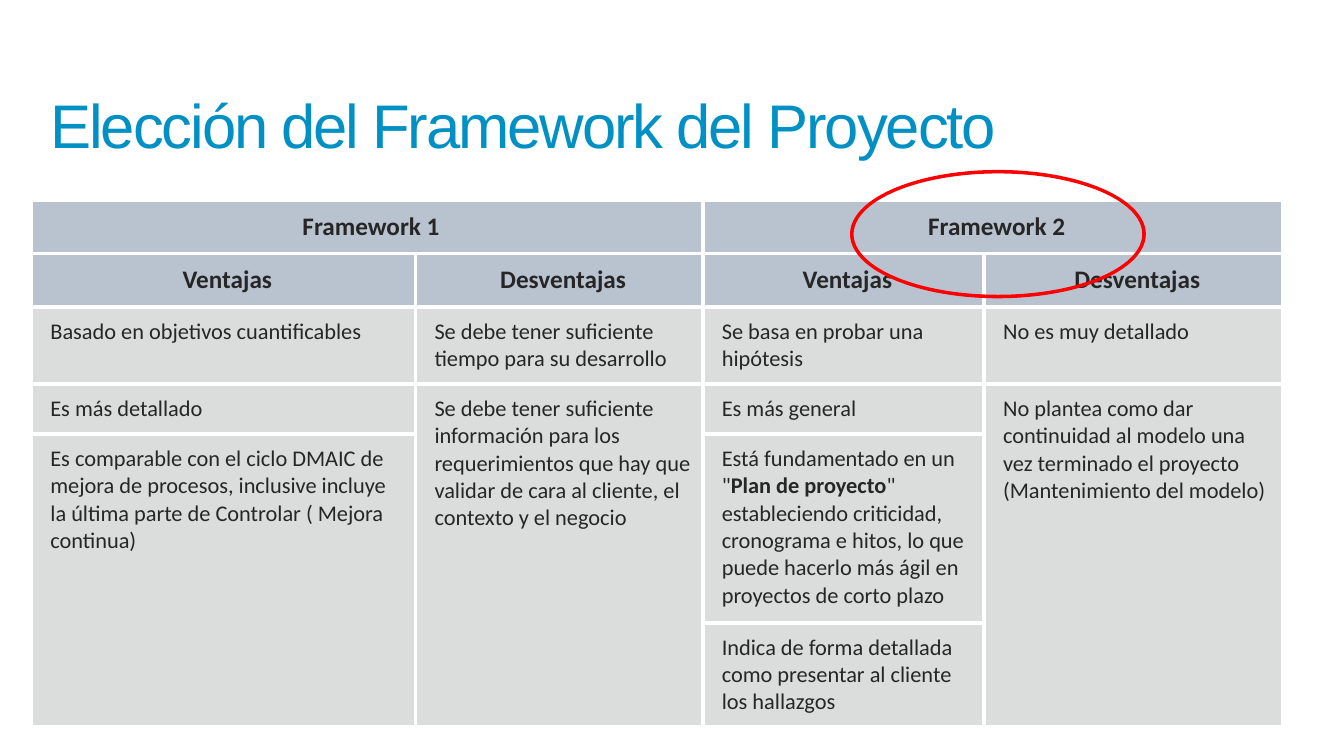
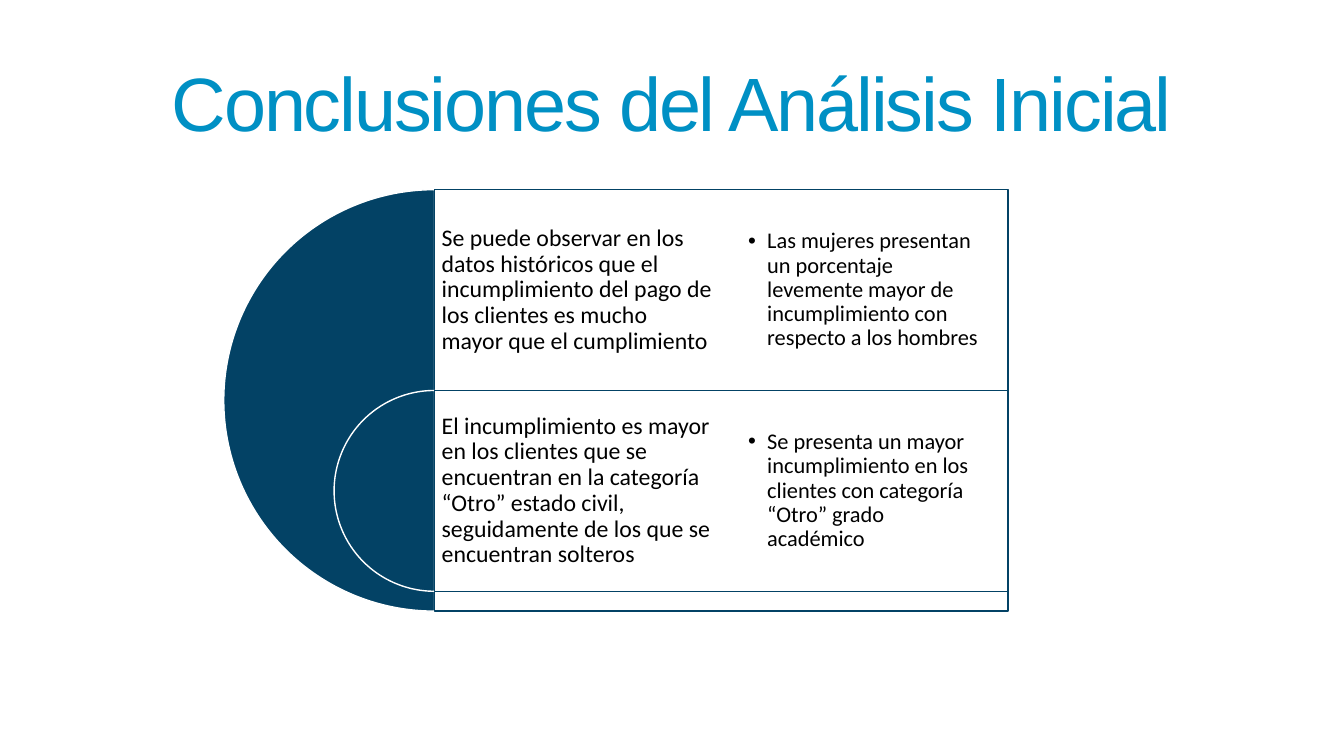
from lxml.etree import SubElement as Sub
from pptx import Presentation as Deck
from pptx.dml.color import RGBColor as Rgb
from pptx.enum.shapes import MSO_SHAPE as Kind
from pptx.enum.text import MSO_ANCHOR as Anchor, MSO_AUTO_SIZE as Auto, PP_ALIGN as Align
from pptx.oxml.ns import qn
from pptx.util import Cm, Pt

HUES = {
    "title": "0090C4",
    "head": "B9C3CF",
    "cell": "DBDDDC",
    "ink": "262626",
    "black": "000000",
    "white": "FFFFFF",
    "navy": "034265",
    "red": "FF0000",
}

COLS = (9.68, 7.24, 7.09, 7.52)
ROWS = (1.34, 1.34, 1.93, 1.26, 4.76, 2.59)
HEADS = 2
CELLS = {
    (0, 0): "Framework 1",
    (0, 2): "Framework 2",
    (1, 0): "Ventajas",
    (1, 1): "Desventajas",
    (1, 2): "Ventajas",
    (1, 3): "Desventajas",
    (2, 0): "Basado en objetivos cuantificables",
    (2, 1): "Se debe tener suficiente tiempo para su desarrollo",
    (2, 2): "Se basa en probar una hipótesis",
    (2, 3): "No es muy detallado",
    (3, 0): "Es más detallado",
    (3, 1): "Se debe tener suficiente información para los requerimientos "
            "que hay que validar de cara al cliente, el contexto y el negocio",
    (3, 2): "Es más general",
    (3, 3): "No plantea como dar continuidad al modelo una vez terminado "
            "el proyecto (Mantenimiento del modelo)",
    (4, 0): "Es comparable con el ciclo DMAIC de mejora de procesos, inclusive "
            "incluye la última parte de Controlar ( Mejora continua)",
    (4, 2): 'Está fundamentado en un "**Plan de proyecto**" estableciendo '
            "criticidad, cronograma e hitos, lo que puede hacerlo más ágil "
            "en proyectos de corto plazo",
    (5, 2): "Indica de forma detallada como presentar al cliente los hallazgos",
}
SPANS = (((0, 0), (0, 1)), ((0, 2), (0, 3)), ((3, 1), (5, 1)),
         ((3, 3), (5, 3)), ((4, 0), (5, 0)))

POINTS = (
    ("Se puede observar en los datos históricos que el incumplimiento del pago "
     "de los clientes es mucho mayor que el cumplimiento",
     "Las mujeres presentan un porcentaje levemente mayor de incumplimiento "
     "con respecto a los hombres"),
    ("El incumplimiento es mayor en los clientes que se encuentran en la "
     "categoría “Otro” estado civil, seguidamente de los que se encuentran solteros",
     "Se presenta un mayor incumplimiento en los clientes con categoría "
     "“Otro” grado académico"),
)


def hue(name):
    return Rgb.from_string(HUES[name])


def write(frame, text, size=16, font="Calibri", color="black", bold=False,
          align=Align.LEFT, lead=None, track=None, hang=None):
    para = frame.paragraphs[0]
    para.alignment = align
    para.space_before = Pt(0)
    if lead:
        para.line_spacing = lead
    if hang:
        props = para._p.get_or_add_pPr()
        props.set("marL", str(Cm(hang)))
        props.set("indent", str(-Cm(hang)))
    for num, part in enumerate(text.split("**")):
        run = para.add_run()
        run.text = part
        run.font.size = Pt(size)
        run.font.name = font
        run.font.bold = bold or num % 2 == 1
        run.font.color.rgb = hue(color)
        if track:
            run._r.get_or_add_rPr().set("spc", str(track))


def place(item, box):
    item.left, item.top, item.width, item.height = (Cm(v) for v in box)


def setup(frame, pad, anchor=Anchor.MIDDLE):
    frame.word_wrap = True
    frame.auto_size = Auto.NONE
    frame.vertical_anchor = anchor
    frame.margin_left = frame.margin_right = Cm(pad)
    frame.margin_top = frame.margin_bottom = Cm(pad)


def head(slide, text, box, **style):
    title = slide.shapes.title
    place(title, box)
    setup(title.text_frame, 0.2)
    write(title.text_frame, text, font="Arial", color="title",
          track=-150, lead=0.9, **style)


def shape(slide, kind, box, fill, line, turns=()):
    item = slide.shapes.add_shape(kind, *(Cm(v) for v in box))
    item.shadow.inherit = False
    item.fill.solid()
    item.fill.fore_color.rgb = hue(fill)
    item.line.color.rgb = hue(line)
    item.line.width = Pt(1)
    for num, turn in enumerate(turns):
        item.adjustments[num] = turn
    return item


def edge(cell):
    props = cell._tc.get_or_add_tcPr()
    for side in ("lnL", "lnR", "lnT", "lnB"):
        line = Sub(props, qn("a:" + side), w=str(Pt(3)))
        Sub(Sub(line, qn("a:solidFill")), qn("a:srgbClr"), val=HUES["white"])


def grid(slide, left, top):
    box = (left, top, sum(COLS), sum(ROWS))
    table = slide.shapes.add_table(len(ROWS), len(COLS), *(Cm(v) for v in box)).table
    for col, width in zip(table.columns, COLS):
        col.width = Cm(width)
    for row, height in zip(table.rows, ROWS):
        row.height = Cm(height)
    for start, end in SPANS:
        table.cell(*start).merge(table.cell(*end))
    for row in range(len(ROWS)):
        for col in range(len(COLS)):
            cell = table.cell(row, col)
            top_row = row < HEADS
            edge(cell)
            cell.fill.solid()
            cell.fill.fore_color.rgb = hue("head" if top_row else "cell")
            cell.margin_left = Cm(0.48)
            cell.margin_right = cell.margin_top = cell.margin_bottom = Cm(0.28)
            if (row, col) in CELLS:
                write(cell.text_frame, CELLS[row, col], color="ink",
                      size=18 if top_row else 16, bold=top_row,
                      align=Align.CENTER if top_row else Align.LEFT)


def layers(slide, left, top, width, height, step):
    half = width / 2
    lists = list(slide.placeholders)[1:]
    for num, ((claim, point), body) in enumerate(zip(POINTS, lists)):
        high = top + num * step
        size = height if num == 0 else step
        shape(slide, Kind.PIE, (left - size / 2, high, size, size),
              "navy", "white", (54, 162))
        shape(slide, Kind.RECTANGLE, (left, high, width, size), "white", "navy")
        note = slide.shapes.add_textbox(*(Cm(v) for v in (left, high, half, step)))
        setup(note.text_frame, 0.18)
        write(note.text_frame, claim, size=17, lead=0.9)
        place(body, (left + half, high, half, step))
        setup(body.text_frame, 0.68)
        write(body.text_frame, point, lead=0.9, hang=0.48)
        slide.shapes.element.append(body.element)


def choice(deck):
    slide = deck.slides.add_slide(deck.slide_layouts[5])
    head(slide, "Elección del Framework del Proyecto",
         (1.07, 1.4, 34.19, 3.68), size=44)
    grid(slide, 0.79, 5.05)
    shape(slide, Kind.DONUT, (21.44, 4.3, 7.42, 3.2), "red", "red", (0.017,))


def closing(deck):
    slide = deck.slides.add_slide(deck.slide_layouts[3])
    head(slide, "Conclusiones del Análisis Inicial",
         (3.73, 1.4, 26.39, 2.57), size=54, align=Align.CENTER)
    layers(slide, 10.95, 4.78, 14.45, 10.62, 5.06)


def main():
    deck = Deck()
    deck.slide_width, deck.slide_height = Cm(33.87), Cm(19.05)
    choice(deck)
    closing(deck)
    deck.save("out.pptx")


if __name__ == "__main__":
    main()
